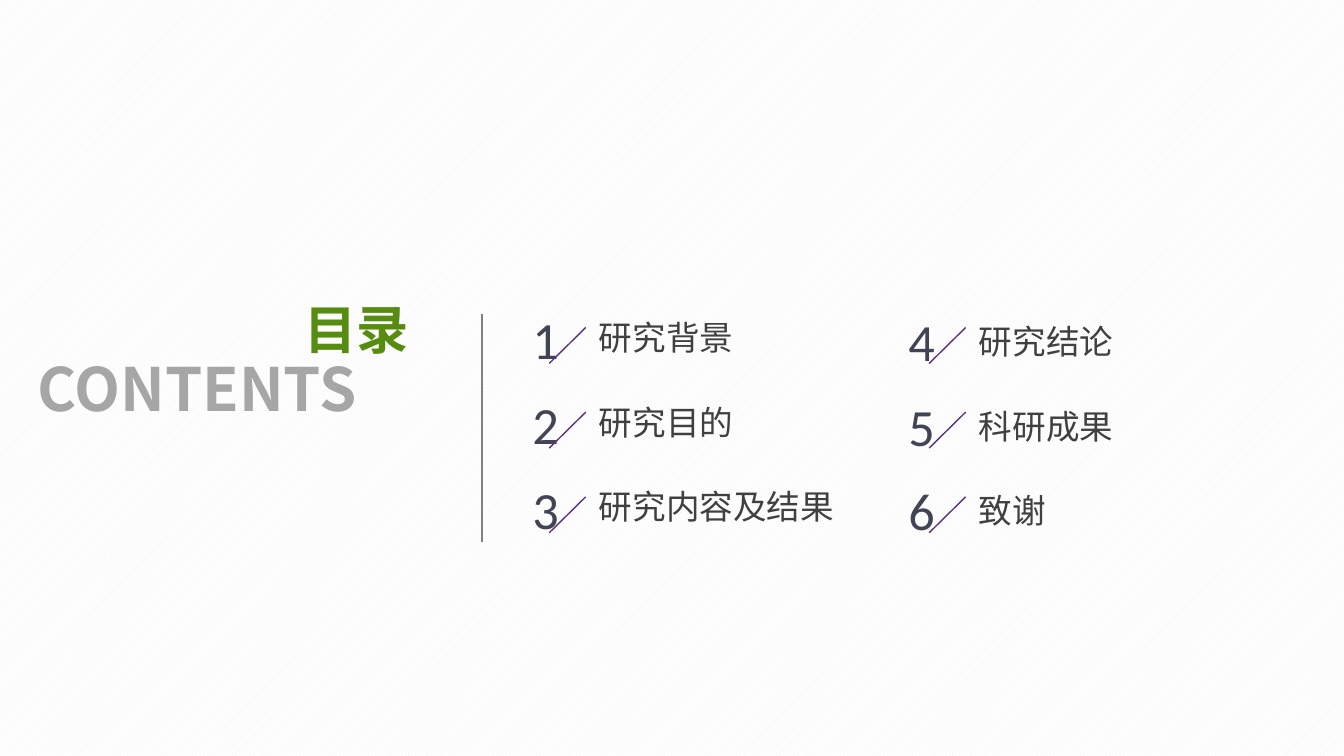
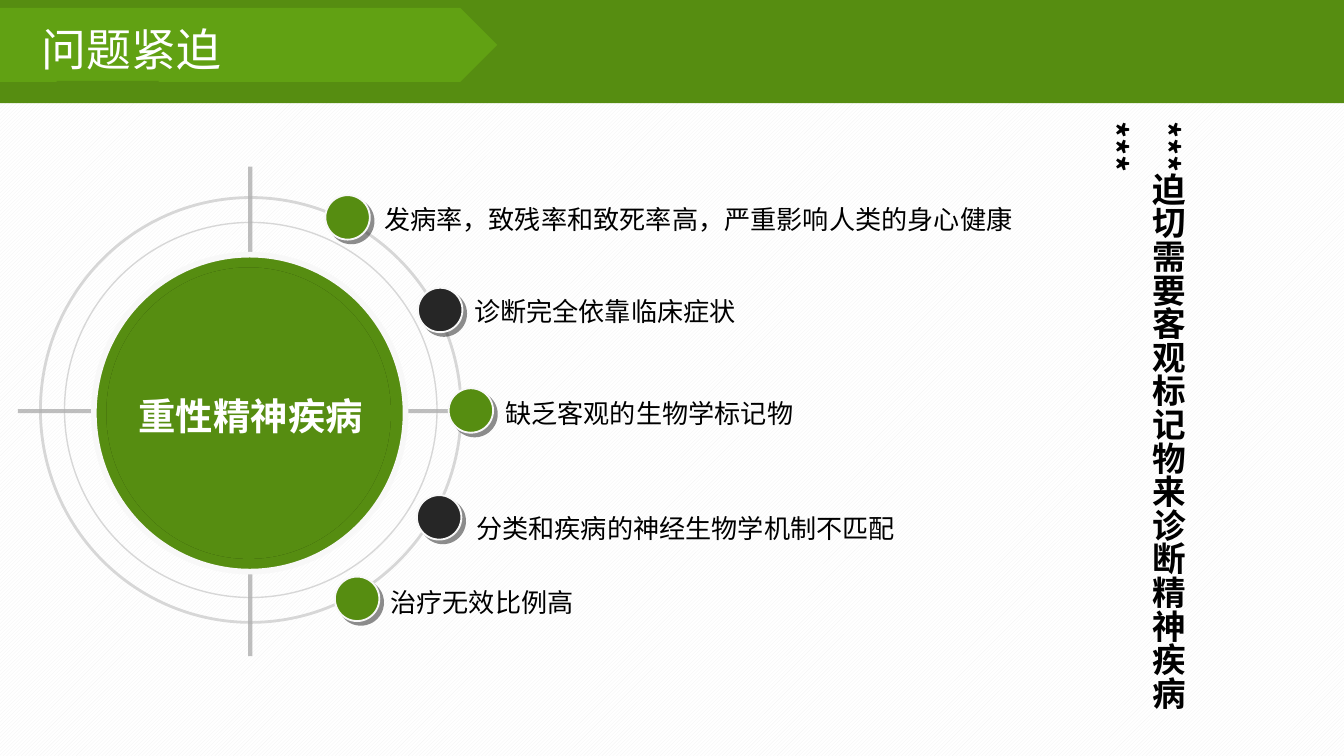
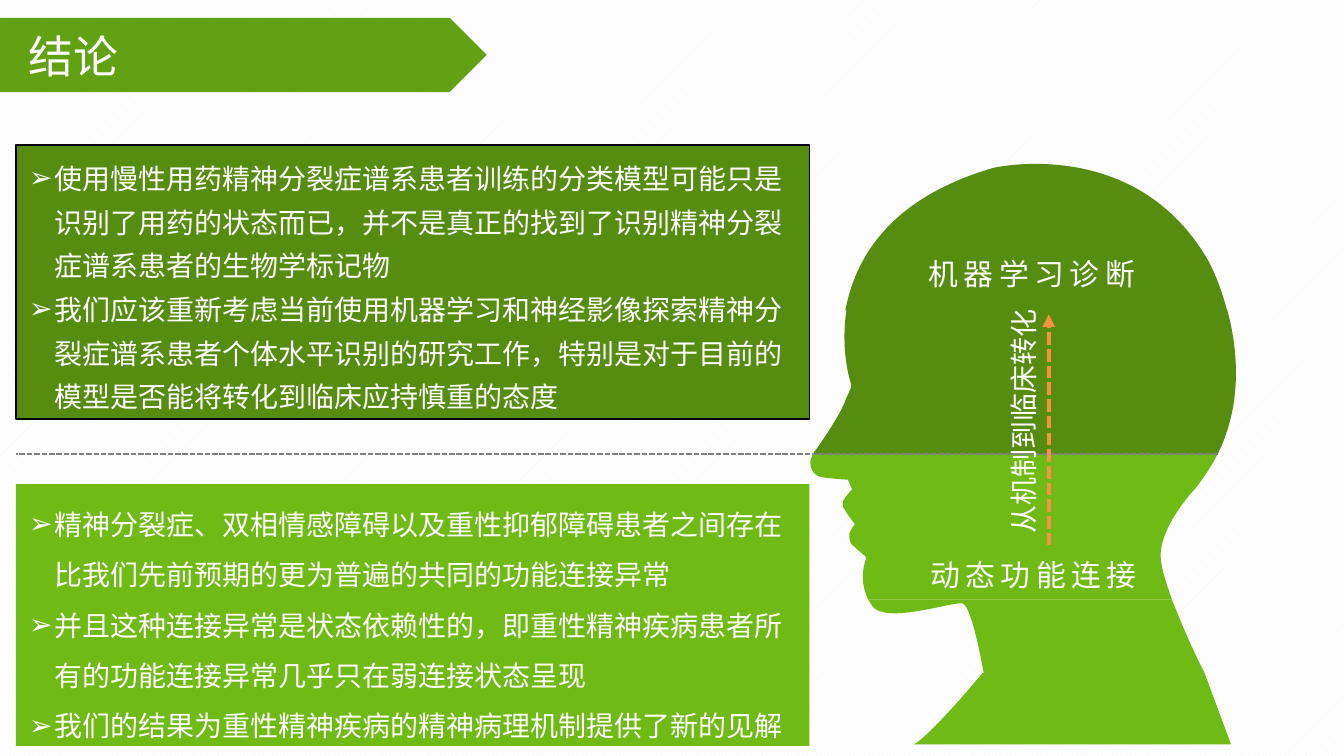
from dataclasses import dataclass
from typing import NamedTuple, Optional, Sequence

from lxml.etree import SubElement
from pptx import Presentation
from pptx.dml.color import RGBColor
from pptx.enum.dml import MSO_LINE, MSO_PATTERN
from pptx.enum.shapes import MSO_CONNECTOR, MSO_SHAPE as Preset
from pptx.enum.text import MSO_ANCHOR as Anchor, MSO_AUTO_SIZE as AutoSize, PP_ALIGN as Align
from pptx.oxml.ns import qn
from pptx.shapes.autoshape import Shape
from pptx.shapes.connector import Connector
from pptx.slide import Slide
from pptx.util import Cm, Pt


# Theme
@dataclass(frozen=True)
class Theme:
    green: str = "568D11"
    tag: str = "61A113"
    light_green: str = "70BA16"
    white: str = "FFFFFF"
    black: str = "000000"
    hatch: str = "F2F2F2"
    rim: str = "F8F8F8"
    dark: str = "262626"
    shade: str = "1C1C1C"
    grey: str = "808080"
    ring: str = "B2B2B2"
    pale_text: str = "A6A6A6"
    label_text: str = "404040"
    number_text: str = "414455"
    slash: str = "5C307D"
    arrow: str = "F69240"
    cjk: str = "Noto Sans CJK SC"
    arial: str = "Arial"
    calibri: str = "Calibri"
    contents_size: int = 32
    number_size: int = 28
    title_size: int = 24
    core_size: int = 20
    label_size: int = 18
    head_size: int = 16
    body_size: int = 15
    reason_size: int = 14


THEME = Theme()


class Box(NamedTuple):
    left: float
    top: float
    width: float
    height: float


class Type(NamedTuple):
    size: int
    color: str
    font: str = THEME.cjk
    bold: bool = False
    spacing: int = 0


class Stroke(NamedTuple):
    color: str
    width: float
    opacity: int = 100
    dashed: bool = False


class Shadow(NamedTuple):
    color: str
    distance: float
    angle: int


class ContentsColumn(NamedTuple):
    number_left: float
    number_top: float
    label_left: float
    label_top: float
    first: int
    labels: Sequence[str]


class Reason(NamedTuple):
    text: str
    dot_left: float
    dot_top: float
    text_left: float
    text_top: float
    text_width: float
    color: str


class HeadPart(NamedTuple):
    color: str
    closed: bool
    start: tuple
    curves: Sequence[tuple]  # 2 values: straight edge; 6 values: cubic curve


TITLE = Type(THEME.title_size, THEME.white)
BODY = Type(THEME.body_size, THEME.white)


# Drawing functions
def rgb(value: str) -> RGBColor:
    return RGBColor.from_string(value)


def centred(x: float, y: float, width: float, height: float) -> Box:
    return Box(x - width / 2, y - height / 2, width, height)


def set_stroke(item, stroke: Stroke) -> None:
    item.line.color.rgb = rgb(stroke.color)
    item.line.width = Pt(stroke.width)
    if stroke.opacity < 100:
        color = item.element.spPr.find(qn("a:ln")).find(".//" + qn("a:srgbClr"))
        SubElement(color, qn("a:alpha"), val=str(stroke.opacity * 1000))
    if stroke.dashed:
        item.line.dash_style = MSO_LINE.SQUARE_DOT


def paint(shape: Shape, fill: Optional[str], stroke: Optional[Stroke] = None,
          shadow: Optional[Shadow] = None) -> None:
    if fill:
        shape.fill.solid()
        shape.fill.fore_color.rgb = rgb(fill)
    else:
        shape.fill.background()
    if stroke:
        set_stroke(shape, stroke)
    else:
        shape.line.fill.background()
    shape.shadow.inherit = False
    if shadow:
        effects = shape.element.spPr.find(qn("a:effectLst"))
        outer = SubElement(effects, qn("a:outerShdw"), blurRad="0",
                           dist=str(Pt(shadow.distance)), dir=str(shadow.angle * 60000),
                           algn="ctr", rotWithShape="0")
        color = SubElement(outer, qn("a:srgbClr"), val=shadow.color)
        SubElement(color, qn("a:alpha"), val="50000")


def add_preset(slide: Slide, preset: Preset, box: Box, fill: Optional[str] = None,
               stroke: Optional[Stroke] = None, shadow: Optional[Shadow] = None) -> Shape:
    shape = slide.shapes.add_shape(preset, *map(Cm, box))
    paint(shape, fill, stroke, shadow)
    return shape


def add_line(slide: Slide, start: tuple, end: tuple, stroke: Stroke) -> Connector:
    line = slide.shapes.add_connector(MSO_CONNECTOR.STRAIGHT, *map(Cm, start + end))
    set_stroke(line, stroke)
    SubElement(line.element.spPr, qn("a:effectLst"))
    return line


def write(shape: Shape, paragraphs: Sequence[str], style: Type, align: Align = Align.LEFT,
          anchor: Anchor = Anchor.TOP, wrap: bool = True, grow: bool = True,
          line_spacing: Optional[float] = None, bullet: str = "") -> None:
    frame = shape.text_frame
    frame.word_wrap = wrap
    frame.auto_size = AutoSize.SHAPE_TO_FIT_TEXT if grow else AutoSize.NONE
    frame.vertical_anchor = anchor
    for index, text in enumerate(paragraphs):
        paragraph = frame.add_paragraph() if index else frame.paragraphs[0]
        paragraph.alignment = align
        if line_spacing:
            paragraph.line_spacing = line_spacing
        if bullet:
            props = paragraph._p.get_or_add_pPr()
            props.set("marL", str(Cm(0.48)))
            props.set("indent", str(-Cm(0.48)))
            SubElement(props, qn("a:buFont"), typeface=THEME.arial)
            SubElement(props, qn("a:buChar"), char=bullet)
        run = paragraph.add_run()
        run.text = text
        run.font.size = Pt(style.size)
        run.font.bold = style.bold
        run.font.color.rgb = rgb(style.color)
        run.font.name = style.font
        run_props = run._r.get_or_add_rPr()
        SubElement(run_props, qn("a:ea"), typeface=THEME.cjk)
        if style.spacing:
            run_props.set("spc", str(style.spacing * 100))


def add_text(slide: Slide, box: Box, text: str, style: Type, **layout) -> Shape:
    shape = slide.shapes.add_textbox(*map(Cm, box))
    write(shape, [text], style, **layout)
    return shape


def add_title_tag(slide: Slide, text: str, tag_left: float, tag_top: float,
                  text_left: float, text_top: float) -> None:
    add_preset(slide, Preset.PENTAGON, Box(tag_left, tag_top, 9.91, 1.4), THEME.tag)
    add_text(slide, Box(text_left, text_top, 10.54, 1.27), text, TITLE)


# Slide 1: contents
ROW_PITCH = 1.6
CONTENTS = (
    ContentsColumn(9.8, 5.69, 11.07, 5.87, 1, ("研究背景", "研究目的", "研究内容及结果")),
    ContentsColumn(16.91, 5.72, 18.25, 5.94, 4, ("研究结论", "科研成果", "致谢")),
)


def build_contents(slide: Slide) -> None:
    add_text(slide, Box(0.46, 6.53, 8.69, 1.63), "CONTENTS",
             Type(THEME.contents_size, THEME.pale_text, bold=True))
    add_text(slide, Box(5.51, 5.49, 2.51, 1.45), "目录",
             Type(THEME.number_size, THEME.green, bold=True), wrap=False)
    number_style = Type(THEME.number_size, THEME.number_text, THEME.calibri)
    label_style = Type(THEME.label_size, THEME.label_text)
    for column in CONTENTS:
        for row, label in enumerate(column.labels):
            drop = row * ROW_PITCH
            add_text(slide, Box(column.label_left, column.label_top + drop,
                                0.64 * len(label) + 0.5, 1.02),
                     label, label_style, wrap=False)
            add_text(slide, Box(column.number_left, column.number_top + drop, 1.02, 1.45),
                     str(column.first + row), number_style, align=Align.CENTER, wrap=False)
            add_line(slide, (column.label_left, 6.19 + drop),
                     (column.label_left - 0.69, 6.87 + drop), Stroke(THEME.slash, 0.75))
    add_line(slide, (9.11, 5.94), (9.11, 10.24), Stroke(THEME.grey, 0.75))


# Slide 2: urgency of the problem
REASONS = (
    Reason("治疗无效比例高", 6.33, 10.9, 7.18, 10.97, 5.16, THEME.green),
    Reason("分类和疾病的神经生物学机制不匹配", 7.88, 9.36, 8.8, 9.58, 8.71, THEME.dark),
    Reason("缺乏客观的生物学标记物", 8.48, 7.34, 9.35, 7.41, 6.05, THEME.green),
    Reason("诊断完全依靠临床症状", 7.9, 5.44, 8.76, 5.47, 5.44, THEME.dark),
    Reason("发病率，致残率和致死率高，严重影响人类的身心健康",
           6.15, 3.69, 7.06, 3.73, 12.32, THEME.green),
)


def add_target(slide: Slide) -> None:
    cross = Stroke(THEME.grey, 2.25, 50)
    add_line(slide, (0.34, 7.77), (9.12, 7.77), cross)
    add_line(slide, (4.73, 3.15), (4.73, 12.4), cross)
    for width, height, weight in ((7.04, 7.09, 0.75), (7.95, 8.03, 1.5)):
        add_preset(slide, Preset.OVAL, centred(4.74, 7.75, width, height),
                   stroke=Stroke(THEME.ring, weight, 50))
    add_preset(slide, Preset.OVAL, centred(4.72, 7.81, 5.89, 5.99), THEME.green,
               Stroke(THEME.rim, 3))
    add_preset(slide, Preset.OVAL, centred(4.7, 7.81, 5.38, 5.51), THEME.green,
               shadow=Shadow(THEME.black, 0, 0))
    core = add_preset(slide, Preset.OVAL, centred(4.74, 7.86, 3.45, 3.53), THEME.green)
    write(core, ["重性精神疾病"], Type(THEME.core_size, THEME.white, THEME.arial, True),
          align=Align.CENTER, anchor=Anchor.MIDDLE, wrap=False, grow=False)


def add_reason(slide: Slide, reason: Reason) -> None:
    label = add_text(slide, Box(reason.text_left, reason.text_top, reason.text_width, 0.81),
                     reason.text, Type(THEME.reason_size, THEME.black, THEME.arial),
                     anchor=Anchor.MIDDLE)
    frame = label.text_frame
    frame.margin_left = frame.margin_right = Cm(0.2)
    frame.margin_top = frame.margin_bottom = Cm(0.1)
    add_preset(slide, Preset.OVAL, Box(reason.dot_left, reason.dot_top, 0.84, 0.84),
               reason.color, Stroke(THEME.rim, 1), Shadow(THEME.shade, 2.8, 45))
    add_preset(slide, Preset.OVAL,
               Box(reason.dot_left + 0.07, reason.dot_top + 0.07, 0.71, 0.71), reason.color)


def build_urgency(slide: Slide) -> None:
    add_preset(slide, Preset.RECTANGLE, Box(0, 0, 25.4, 1.95), THEME.green)
    add_target(slide)
    for reason in REASONS:
        add_reason(slide, reason)
    add_title_tag(slide, "问题紧迫", -0.51, 0.15, 0.54, 0.28)
    appeal = add_text(slide, Box(19.53, 2.05, 3.28, 12.5),
                      "***迫切需要客观标记物来诊断精神疾病***",
                      Type(THEME.label_size, THEME.black, bold=True), line_spacing=1.3)
    appeal.element.txBody.bodyPr.set("vert", "eaVert")
    add_preset(slide, Preset.RECTANGLE, Box(1.07, 1.53, 1.93, 0.15), THEME.green)


# Slide 3: conclusion
HEAD_UNIT = Cm(2.54) / 100
HEAD = (
    # Crown
    HeadPart(THEME.green, True, (899, 194), (
        (845, 100, 739, 125, 739, 125), (660, 148, 636, 194, 629, 231),
        (913, 231), (907, 208, 899, 194, 899, 194))),
    # Brow and nose
    HeadPart(THEME.green, False, (633, 285), (
        (634, 288, 633, 289, 629, 298), (626, 308, 609, 332, 607, 335),
        (606, 336, 605, 337, 605, 338), (906, 338),
        (925, 300, 921, 259, 913, 230), (630, 230), (625, 261, 633, 285, 633, 285))),
    # Mouth and chin
    HeadPart(THEME.light_green, False, (603, 344), (
        (603, 349, 605, 352, 608, 354), (611, 356, 631, 357, 631, 357), (634, 364),
        (634, 364, 631, 368, 629, 370), (628, 372, 627, 373, 627, 375),
        (627, 377, 628, 379, 629, 380), (630, 382, 636, 390, 636, 390),
        (636, 390, 635, 392, 634, 393), (633, 395, 632, 397, 632, 397),
        (632, 399, 632, 402, 633, 404), (634, 406, 643, 413, 644, 414),
        (645, 416, 644, 417, 644, 417), (640, 430, 643, 440, 646, 446), (872, 446),
        (868, 435, 865, 425, 864, 418), (860, 394, 890, 363, 890, 363),
        (896, 355, 902, 346, 906, 338), (605, 338), (604, 340, 603, 342, 603, 344))),
    # Neck
    HeadPart(THEME.light_green, True, (651, 453), (
        (664, 463, 708, 448, 716, 449), (722, 450, 729, 484, 732, 501), (731, 501),
        (731, 501, 693, 547, 680, 554), (900, 554), (916, 554), (896, 500),
        (888, 485, 879, 464, 872, 446), (646, 446), (648, 450, 650, 452, 651, 453))),
)
WARNINGS = (
    "使用慢性用药精神分裂症谱系患者训练的分类模型可能只是识别了用药的状态而已，"
    "并不是真正的找到了识别精神分裂症谱系患者的生物学标记物",
    "我们应该重新考虑当前使用机器学习和神经影像探索精神分裂症谱系患者个体水平识别的研究工作，"
    "特别是对于目前的模型是否能将转化到临床应持慎重的态度",
)
FINDINGS = (
    "精神分裂症、双相情感障碍以及重性抑郁障碍患者之间存在比我们先前预期的更为普遍的共同的功能连接异常",
    "并且这种连接异常是状态依赖性的，即重性精神疾病患者所有的功能连接异常几乎只在弱连接状态呈现",
    "我们的结果为重性精神疾病的精神病理机制提供了新的见解",
)


def add_head_part(slide: Slide, part: HeadPart) -> None:
    """Lay out all control points as vertices, then join each three into a curve."""
    controls = []
    for curve in part.curves:
        values = curve * 3 if len(curve) == 2 else curve
        controls += zip(values[::2], values[1::2])
    outline = slide.shapes.build_freeform(*part.start, scale=HEAD_UNIT)
    outline.add_line_segments(controls, close=part.closed)
    shape = outline.convert_to_shape()
    edges = list(shape.element.spPr.iter(qn("a:lnTo")))
    for first, second, third in zip(edges[::3], edges[1::3], edges[2::3]):
        first.tag = qn("a:cubicBezTo")
        for edge in (second, third):
            first.append(edge[0])
            edge.getparent().remove(edge)
    paint(shape, part.color)


def add_divider(slide: Slide) -> None:
    outline = slide.shapes.build_freeform(906, 338, scale=HEAD_UNIT)
    outline.add_line_segments([(906, 338), (12, 338)], close=False)
    divider = outline.convert_to_shape()
    divider.height = Cm(0.25)
    next(divider.element.spPr.iter(qn("a:path"))).set("h", "10")
    paint(divider, None, Stroke(THEME.grey, 1, dashed=True))


def add_panel(slide: Slide, box: Box, fill: str, points: Sequence[str],
              line_spacing: float, stroke: Optional[Stroke] = None) -> None:
    panel = add_preset(slide, Preset.RECTANGLE, box, fill, stroke)
    write(panel, points, BODY, line_spacing=line_spacing, bullet="➢")


def build_conclusion(slide: Slide) -> None:
    add_panel(slide, Box(0.3, 2.74, 15, 5.18), THEME.green, WARNINGS, 1.3,
              Stroke(THEME.black, 0.75))
    for part in HEAD:
        add_head_part(slide, part)
    head_style = Type(THEME.head_size, THEME.white, spacing=3)
    for text, left, top in (("机器学习诊断", 17.22, 4.71), ("动态功能连接", 17.25, 10.4)):
        add_text(slide, Box(left, top, 4.57, 0.94), text, head_style,
                 align=Align.CENTER, wrap=False)
    add_divider(slide)
    add_panel(slide, Box(0.3, 9.15, 15, 4.95), THEME.light_green, FINDINGS, 1.5)
    add_title_tag(slide, "结论", -0.71, 0.34, 0.29, 0.42)

    # Path from mechanism to clinic
    arrow = add_line(slide, (19.82, 10.31), (19.82, 5.94),
                     Stroke(THEME.arrow, 2.25, dashed=True))
    SubElement(arrow.element.spPr.find(qn("a:ln")), qn("a:tailEnd"), type="triangle")
    caption = add_text(slide, Box(16.86, 7.39, 4.98, 0.89), "从机制到临床转化",
                       Type(THEME.body_size, THEME.white, THEME.calibri))
    caption.rotation = 270


def main() -> None:
    deck = Presentation()
    deck.slide_width, deck.slide_height = Cm(25.4), Cm(14.29)
    for build in (build_contents, build_urgency, build_conclusion):
        slide = deck.slides.add_slide(deck.slide_layouts[6])
        backdrop = slide.background.fill
        backdrop.patterned()
        backdrop.pattern = MSO_PATTERN.LIGHT_UPWARD_DIAGONAL
        backdrop.fore_color.rgb = rgb(THEME.hatch)
        backdrop.back_color.rgb = rgb(THEME.white)
        build(slide)
    deck.save("out.pptx")


if __name__ == "__main__":
    main()
